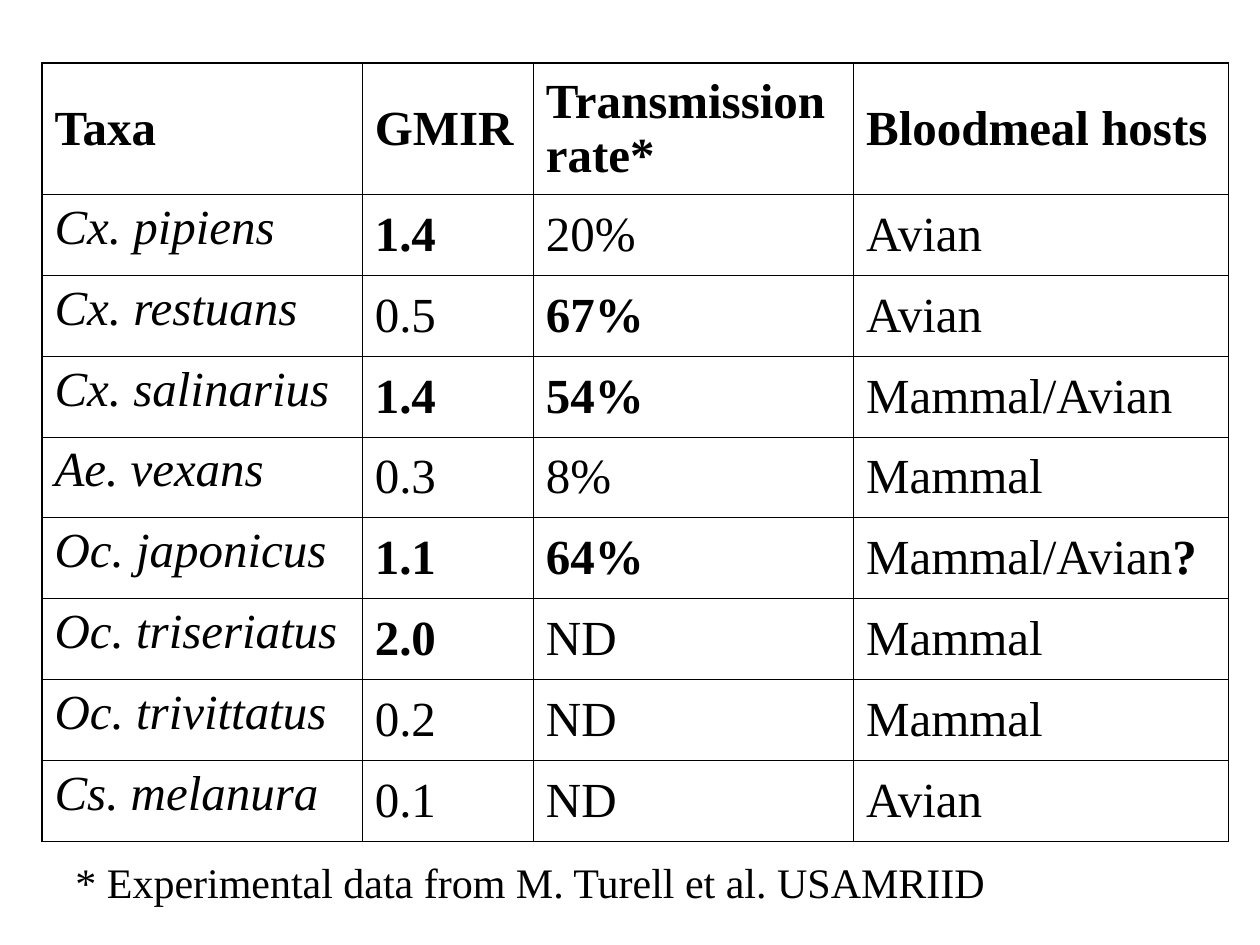
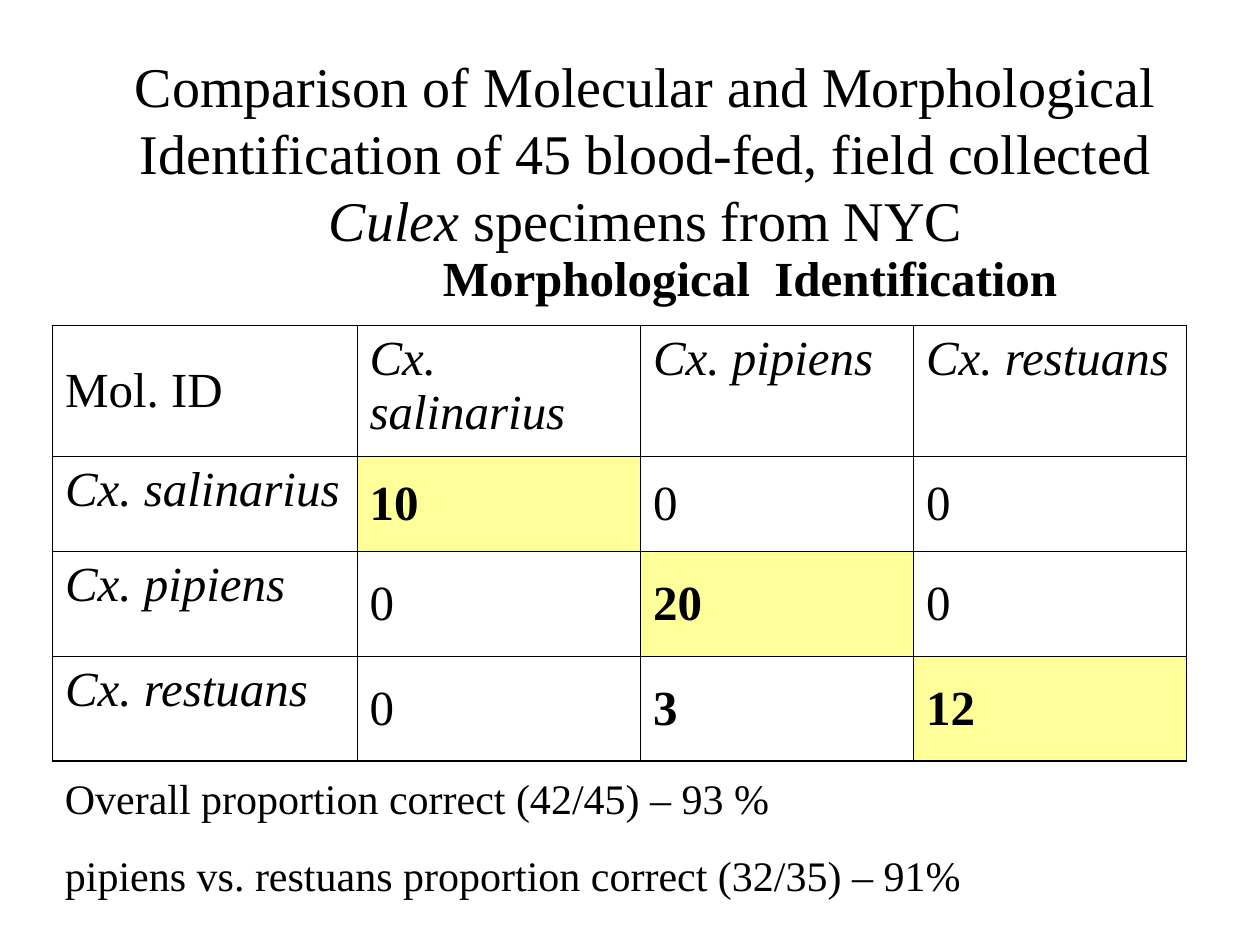
import dataclasses
import typing

import lxml.etree
import pptx
import pptx.dml.color
import pptx.enum.text
import pptx.oxml.ns
import pptx.util

COLOURS = {"text": "000000", "border": "000000", "agreement": "FFFF99"}
FONT = "Times New Roman"
TITLE_SIZE, TABLE_SIZE, NOTE_SIZE = 32, 28, 24
OUTER_BORDER, INNER_BORDER = 1.08, 0.45
NOTE_GAP = 15

# The slide is a grid of 120 columns by 90 rows
SLIDE_WIDTH, SLIDE_HEIGHT = pptx.util.Inches(10), pptx.util.Inches(7.5)
COLUMN, ROW = SLIDE_WIDTH / 120, SLIDE_HEIGHT / 90


class Run(typing.NamedTuple):
    text: str
    bold: bool = False
    italic: bool = False


class Area(typing.NamedTuple):
    left: float
    top: float
    width: float
    height: float

    def lengths(self) -> tuple[int, ...]:
        return (round(self.left * COLUMN), round(self.top * ROW),
                round(self.width * COLUMN), round(self.height * ROW))


Content = list[Run]


@dataclasses.dataclass
class Grid:
    left: float
    top: float
    columns: list[float]
    rows: list[float]
    cells: list[list[Content]]
    highlighted: set[tuple[int, int]] = dataclasses.field(default_factory=set)


@dataclasses.dataclass
class Note:
    area: Area
    paragraphs: list[Content]
    size: float = NOTE_SIZE


def plain(text: str) -> Content:
    return [Run(text)]


def bold(text: str) -> Content:
    return [Run(text, bold=True)]


def italic(text: str) -> Content:
    return [Run(text, italic=True)]


def colour(name: str) -> pptx.dml.color.RGBColor:
    return pptx.dml.color.RGBColor.from_string(COLOURS[name])


# Text
def write(paragraph, content: Content, size: float) -> None:
    for part in content:
        run = paragraph.add_run()
        run.text = part.text
        run.font.name = FONT
        run.font.size = pptx.util.Pt(size)
        run.font.bold = part.bold
        run.font.italic = part.italic
        run.font.color.rgb = colour("text")


def add_note(slide, note: Note) -> None:
    text_frame = slide.shapes.add_textbox(*note.area.lengths()).text_frame
    text_frame.word_wrap = True
    text_frame.auto_size = pptx.enum.text.MSO_AUTO_SIZE.SHAPE_TO_FIT_TEXT
    for index, content in enumerate(note.paragraphs):
        paragraph = text_frame.add_paragraph() if index else text_frame.paragraphs[0]
        paragraph.space_before = pptx.util.Pt(NOTE_GAP if index else 0)
        write(paragraph, content, note.size)


def set_title(slide, area: Area, content: Content) -> None:
    title = slide.shapes.title
    title.left, title.top, title.width, title.height = area.lengths()
    text_frame = title.text_frame
    text_frame.word_wrap = True
    text_frame.auto_size = pptx.enum.text.MSO_AUTO_SIZE.NONE
    text_frame.vertical_anchor = pptx.enum.text.MSO_ANCHOR.MIDDLE
    text_frame.paragraphs[0].alignment = pptx.enum.text.PP_ALIGN.CENTER
    write(text_frame.paragraphs[0], content, TITLE_SIZE)


# Tables
def set_borders(cell, outer_sides: dict[str, bool]) -> None:
    properties = cell._tc.get_or_add_tcPr()
    qualified = pptx.oxml.ns.qn
    for index, (side, is_outer) in enumerate(outer_sides.items()):
        width = pptx.util.Pt(OUTER_BORDER if is_outer else INNER_BORDER)
        line = lxml.etree.Element(qualified(f"a:ln{side}"), w=str(width))
        fill = lxml.etree.SubElement(line, qualified("a:solidFill"))
        lxml.etree.SubElement(fill, qualified("a:srgbClr"), val=COLOURS["border"])
        properties.insert(index, line)


def add_grid(slide, grid: Grid) -> None:
    area = Area(grid.left, grid.top, sum(grid.columns), sum(grid.rows))
    last_row, last_column = len(grid.rows) - 1, len(grid.columns) - 1
    table = slide.shapes.add_table(last_row + 1, last_column + 1, *area.lengths()).table
    table.first_row = table.horz_banding = False
    for column, width in zip(table.columns, grid.columns):
        column.width = round(width * COLUMN)
    for row, height in zip(table.rows, grid.rows):
        row.height = round(height * ROW)
    for row_index, contents in enumerate(grid.cells):
        for column_index, content in enumerate(contents):
            cell = table.cell(row_index, column_index)
            # Species names sit at the top of their cells
            cell.vertical_anchor = (pptx.enum.text.MSO_ANCHOR.TOP if content[0].italic
                                    else pptx.enum.text.MSO_ANCHOR.MIDDLE)
            write(cell.text_frame.paragraphs[0], content, TABLE_SIZE)
            if (row_index, column_index) in grid.highlighted:
                cell.fill.solid()
                cell.fill.fore_color.rgb = colour("agreement")
            else:
                cell.fill.background()
            set_borders(cell, {"L": column_index == 0, "R": column_index == last_column,
                               "T": row_index == 0, "B": row_index == last_row})


# Slide 1: transmission by taxon
TAXA = Grid(
    left=4, top=6, columns=[30.5, 16.3, 30.5, 35.7], rows=[12.5] + [7.71] * 8,
    cells=[
        [bold("Taxa"), bold("GMIR"), bold("Transmission rate*"), bold("Bloodmeal hosts")],
        [italic("Cx. pipiens"), bold("1.4"), plain("20%"), plain("Avian")],
        [italic("Cx. restuans"), plain("0.5"), bold("67%"), plain("Avian")],
        [italic("Cx. salinarius"), bold("1.4"), bold("54%"), plain("Mammal/Avian")],
        [italic("Ae. vexans"), plain("0.3"), plain("8%"), plain("Mammal")],
        [italic("Oc. japonicus"), bold("1.1"), bold("64%"),
         plain("Mammal/Avian") + bold("?")],
        [italic("Oc. triseriatus"), bold("2.0"), plain("ND"), plain("Mammal")],
        [italic("Oc. trivittatus"), plain("0.2"), plain("ND"), plain("Mammal")],
        [italic("Cs. melanura"), plain("0.1"), plain("ND"), plain("Avian")],
    ])
DATA_SOURCE = Note(Area(6, 81, 110, 6),
                   [plain("* Experimental data from M. Turell et al. USAMRIID")])

# Slide 2: molecular against morphological identification
COMPARISON_TITLE = (
    plain("Comparison of Molecular and Morphological Identification of 45 blood-fed, "
          "field collected ")
    + italic("Culex") + plain(" specimens from NYC"))
SPECIES = ["Cx. salinarius", "Cx. pipiens", "Cx. restuans"]
COUNTS = [
    [bold("10"), plain("0"), plain("0")],
    [plain("0"), bold("20"), plain("0")],
    [plain("0"), bold("3"), bold("12")],
]
IDENTIFICATION = Grid(
    left=5, top=31, columns=[29, 27, 26, 26], rows=[12.5, 9, 10, 10],
    cells=[[plain("Mol. ID")] + [italic(name) for name in SPECIES]]
    + [[italic(name)] + counts for name, counts in zip(SPECIES, COUNTS)],
    highlighted={(index, index) for index in range(1, len(SPECIES) + 1)})
COLUMN_CAPTION = Note(Area(41, 23, 79, 6.8), [bold("Morphological  Identification")],
                      TABLE_SIZE)
PROPORTIONS = Note(Area(5, 73, 112, 13.3), [
    plain("Overall proportion correct (42/45) – 93 %"),
    plain("pipiens vs. restuans proportion correct (32/35) – 91%"),
])


def main() -> None:
    presentation = pptx.Presentation()
    presentation.slide_width, presentation.slide_height = SLIDE_WIDTH, SLIDE_HEIGHT
    title_only, blank = presentation.slide_layouts[5], presentation.slide_layouts[6]

    taxa_slide = presentation.slides.add_slide(blank)
    add_grid(taxa_slide, TAXA)
    add_note(taxa_slide, DATA_SOURCE)

    comparison_slide = presentation.slides.add_slide(title_only)
    set_title(comparison_slide, Area(8, 8, 107, 13), COMPARISON_TITLE)
    add_grid(comparison_slide, IDENTIFICATION)
    for note in (COLUMN_CAPTION, PROPORTIONS):
        add_note(comparison_slide, note)

    presentation.save("out.pptx")


if __name__ == "__main__":
    main()
